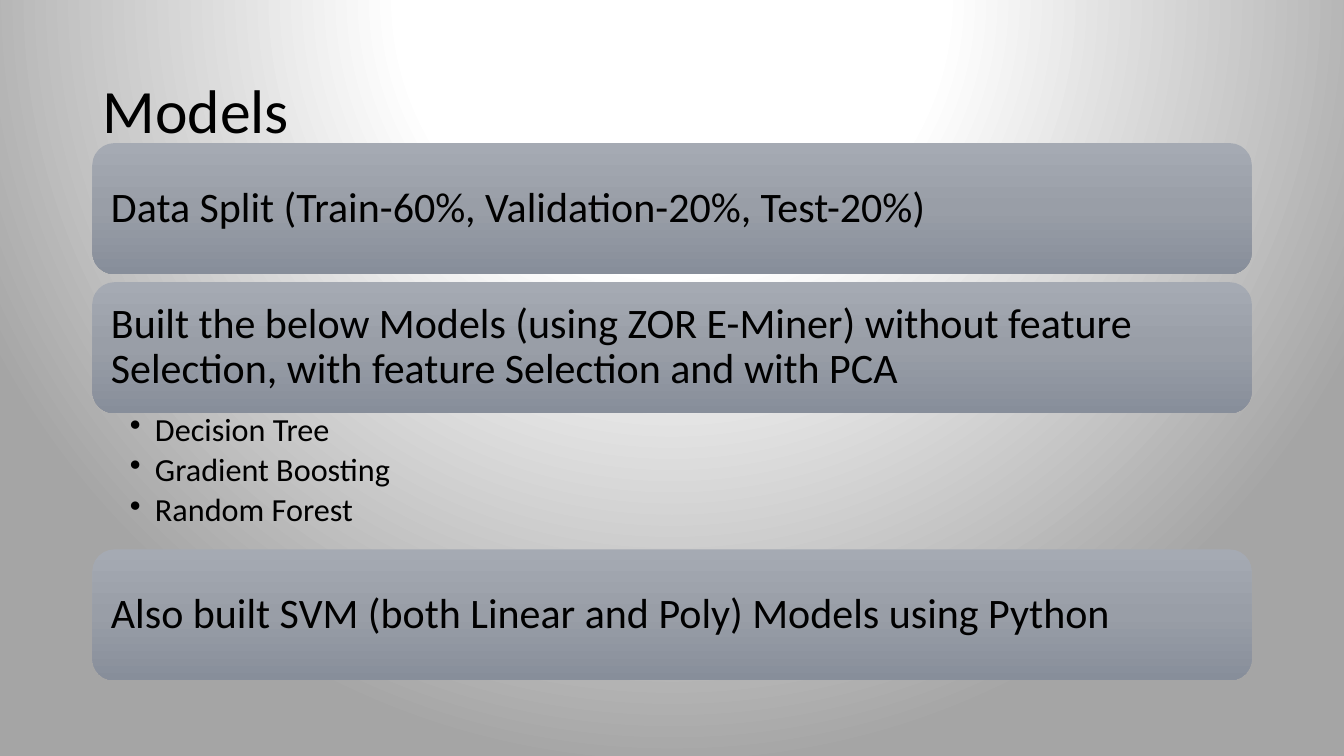
from dataclasses import dataclass

import pptx
import pptx.dml.color
import pptx.enum.shapes
import pptx.enum.text
import pptx.oxml
import pptx.oxml.ns
import pptx.util

RGB = pptx.dml.color.RGBColor
BLACK = RGB(0x00, 0x00, 0x00)
WHITE = RGB(0xFF, 0xFF, 0xFF)
GREY = RGB(0xA5, 0xA5, 0xA5)
BAR_TOP = RGB(0xA5, 0xAA, 0xB3)
BAR_MID = RGB(0x99, 0x9E, 0xA7)
BAR_LOW = RGB(0x87, 0x8E, 0x9A)

FONT = "Calibri"
WIDE, HIGH = pptx.util.Inches(13.33), pptx.util.Inches(7.5)
MIDDLE = pptx.enum.text.MSO_ANCHOR.MIDDLE
TOP = pptx.enum.text.MSO_ANCHOR.TOP

# Shares of the slide's size, in percent
LEFT, SPAN = 6.88, 86.25
BAR_HIGH = 17.33


@dataclass
class Bar:
    top: float
    text: str


BARS = [
    Bar(18.93, "Data Split (Train-60%, Validation-20%, Test-20%)"),
    Bar(37.33, "Built the below Models (using ZOR E-Miner) without feature "
               "Selection, with feature Selection and with PCA"),
    Bar(72.67, "Also built SVM (both Linear and Poly) Models using Python"),
]
MODELS = ["Decision Tree", "Gradient Boosting", "Random Forest"]


def band(top: float, high: float) -> tuple[int, int, int, int]:
    """Box across the content columns, from shares of the slide."""
    return (int(WIDE * LEFT / 100), int(HIGH * top / 100),
            int(WIDE * SPAN / 100), int(HIGH * high / 100))


def shade(fill, holder, stops: list[tuple[int, RGB]], way: str) -> None:
    """Fill with a gradient of (percent, colour) stops."""
    fill.solid()
    marks = "".join(f'<a:gs pos="{at * 1000}"><a:srgbClr val="{tone}"/></a:gs>'
                    for at, tone in stops)
    grad = pptx.oxml.parse_xml(
        f'<a:gradFill {pptx.oxml.ns.nsdecls("a")} rotWithShape="1">'
        f'<a:gsLst>{marks}</a:gsLst>{way}</a:gradFill>')
    old = holder.find(pptx.oxml.ns.qn("a:solidFill"))
    holder.replace(old, grad)


def inset(frame, left: float, top: float, right: float, low: float) -> None:
    frame.margin_left, frame.margin_top = map(pptx.util.Inches, (left, top))
    frame.margin_right, frame.margin_bottom = map(pptx.util.Inches, (right, low))


def write(frame, lines: list[str], size: int, anchor) -> None:
    """Write one left-aligned paragraph per line."""
    frame.word_wrap = True
    frame.auto_size = pptx.enum.text.MSO_AUTO_SIZE.NONE
    frame.vertical_anchor = anchor
    for i, line in enumerate(lines):
        para = frame.paragraphs[0] if i == 0 else frame.add_paragraph()
        para.alignment = pptx.enum.text.PP_ALIGN.LEFT
        para.line_spacing = 0.9
        run = para.add_run()
        run.text = line
        run.font.name = FONT
        run.font.size = pptx.util.Pt(size)
        run.font.color.rgb = BLACK


def draw_bar(slide, bar: Bar) -> None:
    shape = slide.shapes.add_shape(
        pptx.enum.shapes.MSO_SHAPE.ROUNDED_RECTANGLE, *band(bar.top, BAR_HIGH))
    shape.shadow.inherit = False
    shape.line.fill.background()
    shade(shape.fill, shape._element.spPr,
          [(0, BAR_TOP), (50, BAR_MID), (100, BAR_LOW)],
          '<a:lin ang="5400000" scaled="0"/>')
    inset(shape.text_frame, 0.12, 0.12, 0.12, 0.12)
    write(shape.text_frame, [bar.text], 30, MIDDLE)


def draw_list(slide, items: list[str]) -> None:
    frame = slide.shapes.add_textbox(*band(54.13, 17.6)).text_frame
    inset(frame, 0.37, 0.04, 0.23, 0.04)
    write(frame, items, 23, TOP)
    for para in frame.paragraphs:
        para.space_after = pptx.util.Pt(4)
        props = para._p.get_or_add_pPr()
        props.set("marL", str(pptx.util.Inches(0.25)))
        props.set("indent", str(-pptx.util.Inches(0.25)))
        props.append(pptx.oxml.parse_xml(
            f'<a:buChar {pptx.oxml.ns.nsdecls("a")} char="•"/>'))


def main() -> None:
    deck = pptx.Presentation()
    deck.slide_width, deck.slide_height = WIDE, HIGH
    slide = deck.slides.add_slide(deck.slide_layouts[5])

    # Background glow
    back = slide.background.fill
    back.solid()
    shade(back, slide._element.xpath("p:cSld/p:bg/p:bgPr")[0],
          [(0, WHITE), (35, WHITE), (100, GREY)],
          '<a:path path="circle">'
          '<a:fillToRect l="50000" t="-80000" r="50000" b="180000"/></a:path>')

    # Title
    title = slide.shapes.title
    title.left, title.top, title.width, title.height = band(5.33, 19.33)
    write(title.text_frame, ["Models"], 44, MIDDLE)

    # Bars and the list of models
    draw_list(slide, MODELS)
    for bar in BARS:
        draw_bar(slide, bar)

    deck.save("out.pptx")


if __name__ == "__main__":
    main()
